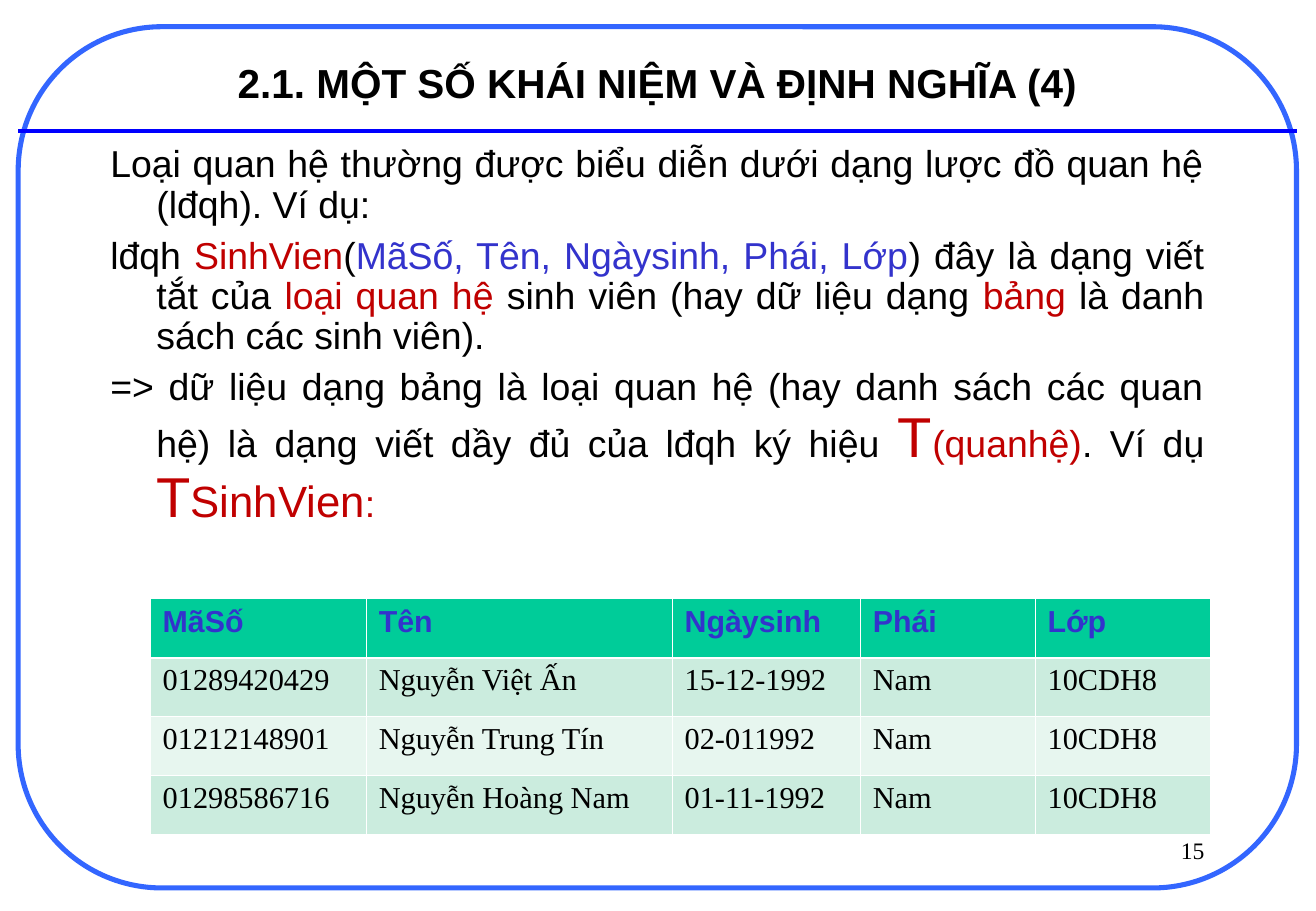
from dataclasses import dataclass
from lxml.etree import SubElement
from pptx import Presentation
from pptx.dml.color import RGBColor
from pptx.enum.shapes import MSO_CONNECTOR as Link, MSO_SHAPE as Shape
from pptx.enum.text import MSO_ANCHOR as Anchor, PP_ALIGN as Align
from pptx.oxml.ns import qn
from pptx.util import Inches, Pt


@dataclass(frozen=True)
class Theme:
    sans: str = "Arial"
    serif: str = "Times New Roman"
    black: str = "000000"
    white: str = "FFFFFF"
    red: str = "C00000"
    blue: str = "3333CC"
    frame: str = "3366FF"
    rule: str = "0000FF"
    head: str = "00CC99"
    bands: tuple = ("CBECDE", "E7F6EF")
    title: float = 24
    body: float = 22.2
    large: float = 25.9
    huge: float = 33.3
    cell: float = 18
    number: float = 14
    thin: float = 0.45
    thick: float = 1.47


THEME = Theme()

TITLE = "2.1. MỘT SỐ KHÁI NIỆM VÀ ĐỊNH NGHĨA (4)"
# Each run: text, colour, size
BLACK = (THEME.black, THEME.body)
RED = (THEME.red, THEME.body)
BLUE = (THEME.blue, THEME.body)
HUGE = (THEME.red, THEME.huge)
LARGE = (THEME.red, THEME.large)
BODY = [
    [("Loại quan hệ thường được biểu diễn dưới dạng lược đồ quan hệ (lđqh). Ví dụ:", BLACK)],
    [("lđqh ", BLACK), ("SinhVien", RED), ("(", BLACK),
     ("MãSố, Tên, Ngàysinh, Phái, Lớp", BLUE),
     (") đây là dạng viết tắt của ", BLACK), ("loại quan hệ", RED),
     (" sinh viên (hay dữ liệu dạng ", BLACK), ("bảng", RED),
     (" là danh sách các sinh viên).", BLACK)],
    [("=> dữ liệu dạng bảng là loại quan hệ (hay danh sách các quan hệ) "
      "là dạng viết dầy đủ của lđqh ký hiệu ", BLACK),
     ("T", HUGE), ("(quanhệ)", RED), (". Ví dụ ", BLACK),
     ("T", HUGE), ("SinhVien", LARGE), (":", RED)],
]
STUDENTS = [
    ("MãSố", "Tên", "Ngàysinh", "Phái", "Lớp"),
    ("01289420429", "Nguyễn Việt Ấn", "15-12-1992", "Nam", "10CDH8"),
    ("01212148901", "Nguyễn Trung Tín", "02-011992", "Nam", "10CDH8"),
    ("01298586716", "Nguyễn Hoàng Nam", "01-11-1992", "Nam", "10CDH8"),
]
WIDTHS = (1.78, 2.52, 1.55, 1.44, 1.44)


def paint(run, face, size, color, bold=False):
    font = run.font
    font.name, font.size, font.bold = face, Pt(size), bold
    font.color.rgb = RGBColor.from_string(color)


def add_text(slide, box, anchor=Anchor.TOP):
    frame = slide.shapes.add_textbox(*map(Inches, box)).text_frame
    frame.word_wrap = True
    frame.vertical_anchor = anchor
    return frame


def add_line(slide, box, text, align, anchor, style):
    """Place one line of text with a single style."""
    frame = add_text(slide, box, anchor)
    frame.text = text
    para = frame.paragraphs[0]
    para.alignment = align
    paint(para.runs[0], *style)


def add_frame(slide, box, drop):
    """Draw the rounded border and the rule that lies drop below its top."""
    left, top, width, height = box
    border = slide.shapes.add_shape(Shape.ROUNDED_RECTANGLE, *map(Inches, box))
    border.shadow.inherit = False
    border.adjustments[0] = 0.167
    border.fill.background()
    border.line.color.rgb = RGBColor.from_string(THEME.frame)
    border.line.width = Pt(3)

    ends = (left, top + drop, left + width, top + drop)
    rule = slide.shapes.add_connector(Link.STRAIGHT, *map(Inches, ends))
    rule.line.color.rgb = RGBColor.from_string(THEME.rule)
    rule.line.width = Pt(2.25)
    SubElement(rule._element.spPr, qn("a:effectLst"))


def add_body(slide, box):
    frame = add_text(slide, box)
    for i, parts in enumerate(BODY):
        para = frame.add_paragraph() if i else frame.paragraphs[0]
        para.alignment = Align.JUSTIFY
        para.line_spacing = 0.9
        para.space_before = Pt(6 if i else 0)
        props = para._p.get_or_add_pPr()
        props.set("marL", str(Inches(0.38)))
        props.set("indent", str(-Inches(0.38)))
        for text, (color, size) in parts:
            run = para.add_run()
            run.text = text
            paint(run, THEME.sans, size, color)


def add_edges(cell, row):
    """Draw white cell borders, thicker between the head and the first row."""
    props = cell._tc.get_or_add_tcPr()
    thick = {0: "lnB", 1: "lnT"}.get(row)
    for i, side in enumerate(("lnL", "lnR", "lnT", "lnB")):
        size = THEME.thick if side == thick else THEME.thin
        edge = props.makeelement(qn("a:" + side), {"w": str(Pt(size))})
        fill = SubElement(edge, qn("a:solidFill"))
        SubElement(fill, qn("a:srgbClr"), val=THEME.white)
        props.insert(i, edge)


def add_grid(slide, box):
    shape = slide.shapes.add_table(len(STUDENTS), len(WIDTHS), *map(Inches, box))
    table = shape.table
    for col, width in zip(table.columns, WIDTHS):
        col.width = Inches(width)
    for r, values in enumerate(STUDENTS):
        table.rows[r].height = Inches(box[3] / len(STUDENTS))
        if r == 0:
            fill, style = THEME.head, (THEME.sans, THEME.cell, THEME.blue, True)
        else:
            fill = THEME.bands[(r - 1) % 2]
            style = (THEME.serif, THEME.cell, THEME.black)
        for c, value in enumerate(values):
            cell = table.cell(r, c)
            cell.text = value
            paint(cell.text_frame.paragraphs[0].runs[0], *style)
            cell.fill.solid()
            cell.fill.fore_color.rgb = RGBColor.from_string(fill)
            add_edges(cell, r)


def main():
    deck = Presentation()
    deck.slide_width, deck.slide_height = Inches(10.84), Inches(7.5)
    slide = deck.slides.add_slide(deck.slide_layouts[6])
    add_frame(slide, (0.15, 0.22, 10.53, 7.09), 0.86)
    add_line(slide, (7.76, 6.83, 2.26, 0.5), "15", Align.RIGHT, Anchor.TOP,
             (THEME.serif, THEME.number, THEME.black))
    add_line(slide, (0.81, 0.39, 9.21, 0.58), TITLE, Align.CENTER, Anchor.MIDDLE,
             (THEME.sans, THEME.title, THEME.black, True))
    add_body(slide, (0.81, 1.15, 9.21, 3.77))
    add_grid(slide, (1.24, 4.93, sum(WIDTHS), 1.94))
    deck.save("out.pptx")


if __name__ == "__main__":
    main()
